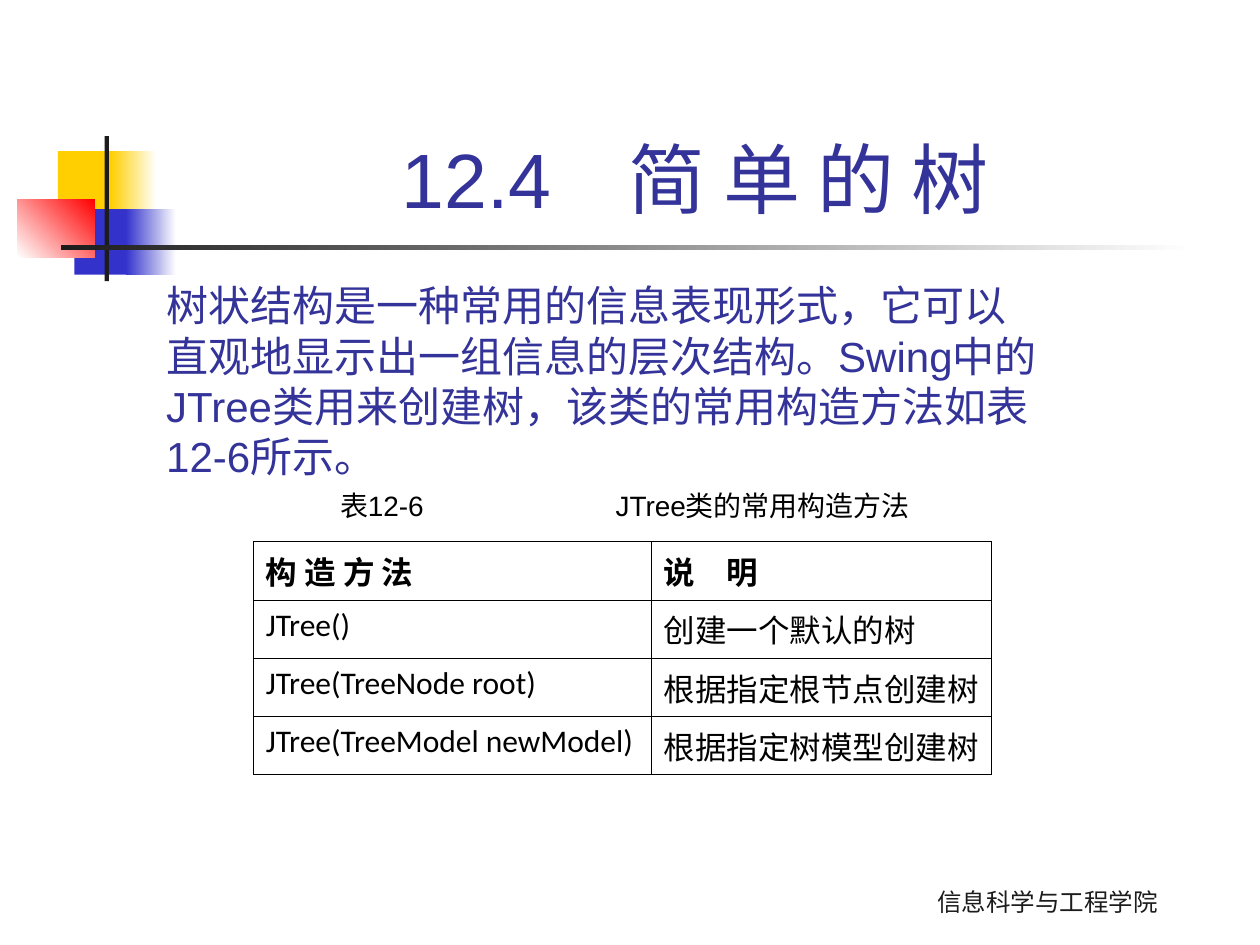
from typing import NamedTuple, Optional

from lxml.etree import SubElement
from pptx import Presentation
from pptx.dml.color import RGBColor
from pptx.enum.shapes import MSO_SHAPE
from pptx.enum.text import MSO_ANCHOR, MSO_AUTO_SIZE, PP_ALIGN
from pptx.oxml.ns import qn
from pptx.util import Pt

INDIGO = "333399"
BLACK = "000000"
WHITE = "FFFFFF"
DARK = "1C1C1C"
YELLOW = "FFCF01"
BLUE = "3333CC"
RED = "FF0000"


class Block(NamedTuple):
    x: float
    y: float
    w: float
    h: float
    color: str
    end: Optional[str] = None
    angle: float = 0


class Style(NamedTuple):
    size: float
    font: str
    color: str
    bold: bool = False


BLOCKS = [
    Block(33.1, 86.4, 34.6, 37.4, YELLOW),
    Block(63.4, 86.4, 25.9, 37.4, YELLOW, WHITE),
    Block(42.5, 119.5, 33.1, 37.4, BLUE),
    Block(72, 119.5, 28.8, 37.4, BLUE, WHITE),
    Block(10, 113.8, 44.1, 33.1, WHITE, RED, 45),
    Block(59.8, 77.8, 2.4, 82.8, DARK),
    Block(34.6, 140.2, 648, 2.4, DARK, WHITE),
]

ROWS = [
    ("构 造 方 法", "说　明"),
    ("JTree()", "创建一个默认的树"),
    ("JTree(TreeNode root)", "根据指定根节点创建树"),
    ("JTree(TreeModel newModel)", "根据指定树模型创建树"),
]
COL_WIDTHS = (227.5, 194.5)
ROW_HEIGHT = 33.3


def rgb(value: str) -> RGBColor:
    return RGBColor.from_string(value)


def add_run(p, text: str, style: Style) -> None:
    r = p.add_run()
    r.text = text
    r.font.size = Pt(style.size)
    r.font.name = style.font
    r.font.bold = style.bold
    r.font.color.rgb = rgb(style.color)


def place(sp, x: float, y: float, w: float, h: float) -> None:
    sp.left, sp.top, sp.width, sp.height = Pt(x), Pt(y), Pt(w), Pt(h)


def write(sp, text: str, style: Style, anchor=MSO_ANCHOR.TOP,
          align=PP_ALIGN.LEFT, wrap: bool = True):
    tf = sp.text_frame
    tf.word_wrap = wrap
    tf.auto_size = MSO_AUTO_SIZE.NONE
    tf.vertical_anchor = anchor
    p = tf.paragraphs[0]
    p.alignment = align
    p.space_before = Pt(0)
    add_run(p, text, style)
    return p


def add_block(s, block: Block) -> None:
    sp = s.shapes.add_shape(MSO_SHAPE.RECTANGLE, Pt(block.x), Pt(block.y),
                            Pt(block.w), Pt(block.h))
    sp.shadow.inherit = False
    sp.line.fill.background()
    if block.end is None:
        sp.fill.solid()
        sp.fill.fore_color.rgb = rgb(block.color)
        return
    sp.fill.gradient()
    sp.fill.gradient_angle = block.angle
    for stop, color in zip(sp.fill.gradient_stops, (block.color, block.end)):
        stop.color.rgb = rgb(color)


def add_borders(cell, color: str, width: float) -> None:
    tc_pr = cell._tc.get_or_add_tcPr()
    for side in ("a:lnL", "a:lnR", "a:lnT", "a:lnB"):
        ln = SubElement(tc_pr, qn(side), w=str(int(Pt(width))))
        fill = SubElement(ln, qn("a:solidFill"))
        SubElement(fill, qn("a:srgbClr"), val=color)


def add_methods_table(s) -> None:
    frame = s.shapes.add_table(len(ROWS), len(COL_WIDTHS), Pt(144.7), Pt(309.6),
                               Pt(sum(COL_WIDTHS)), Pt(ROW_HEIGHT * len(ROWS)))
    table = frame.table
    table.first_row = False
    table.horz_banding = False
    for column, width in zip(table.columns, COL_WIDTHS):
        column.width = Pt(width)
    for i, row in enumerate(ROWS):
        table.rows[i].height = Pt(ROW_HEIGHT)
        for j, text in enumerate(row):
            cell = table.cell(i, j)
            add_borders(cell, BLACK, 0.45)
            cell.fill.solid()
            cell.fill.fore_color.rgb = rgb(WHITE)
            add_run(cell.text_frame.paragraphs[0], text,
                    Style(18, "Calibri", BLACK, i == 0))


def main() -> None:
    prs = Presentation()
    prs.slide_width, prs.slide_height = Pt(720), Pt(540)
    s = prs.slides.add_slide(prs.slide_layouts[1])

    for block in BLOCKS:
        add_block(s, block)

    title = s.shapes.title
    place(title, 90.7, 16.6, 613.4, 115.2)
    write(title, "12.4　简 单 的 树", Style(44, "Arial", INDIGO),
          MSO_ANCHOR.BOTTOM, PP_ALIGN.CENTER)

    body = s.placeholders[1]
    place(body, 87.8, 156.2, 515.5, 147.6)
    p = write(body, "树状结构是一种常用的信息表现形式，它可以直观地显示出一组信息的层次结构。"
              "Swing中的JTree类用来创建树，该类的常用构造方法如表12-6所示。",
              Style(24, "Arial", INDIGO))
    p_pr = p._p.get_or_add_pPr()
    p_pr.set("marL", "0")
    p_pr.set("indent", "0")
    SubElement(p_pr, qn("a:buNone"))

    add_methods_table(s)

    caption = s.shapes.add_textbox(Pt(187.2), Pt(275.8), Pt(344.9), Pt(26.6))
    p = write(caption, "表12-6\tJTree类的常用构造方法", Style(16, "Arial", BLACK),
              wrap=False)
    tabs = SubElement(p._p.get_or_add_pPr(), qn("a:tabLst"))
    SubElement(tabs, qn("a:tab"), pos=str(int(Pt(157.5))), algn="l")

    footer = s.shapes.add_textbox(Pt(484.6), Pt(502.6), Pt(228.2), Pt(24.5))
    write(footer, "信息科学与工程学院", Style(14, "Karla", DARK),
          MSO_ANCHOR.BOTTOM, PP_ALIGN.CENTER)

    prs.save("out.pptx")


if __name__ == "__main__":
    main()
